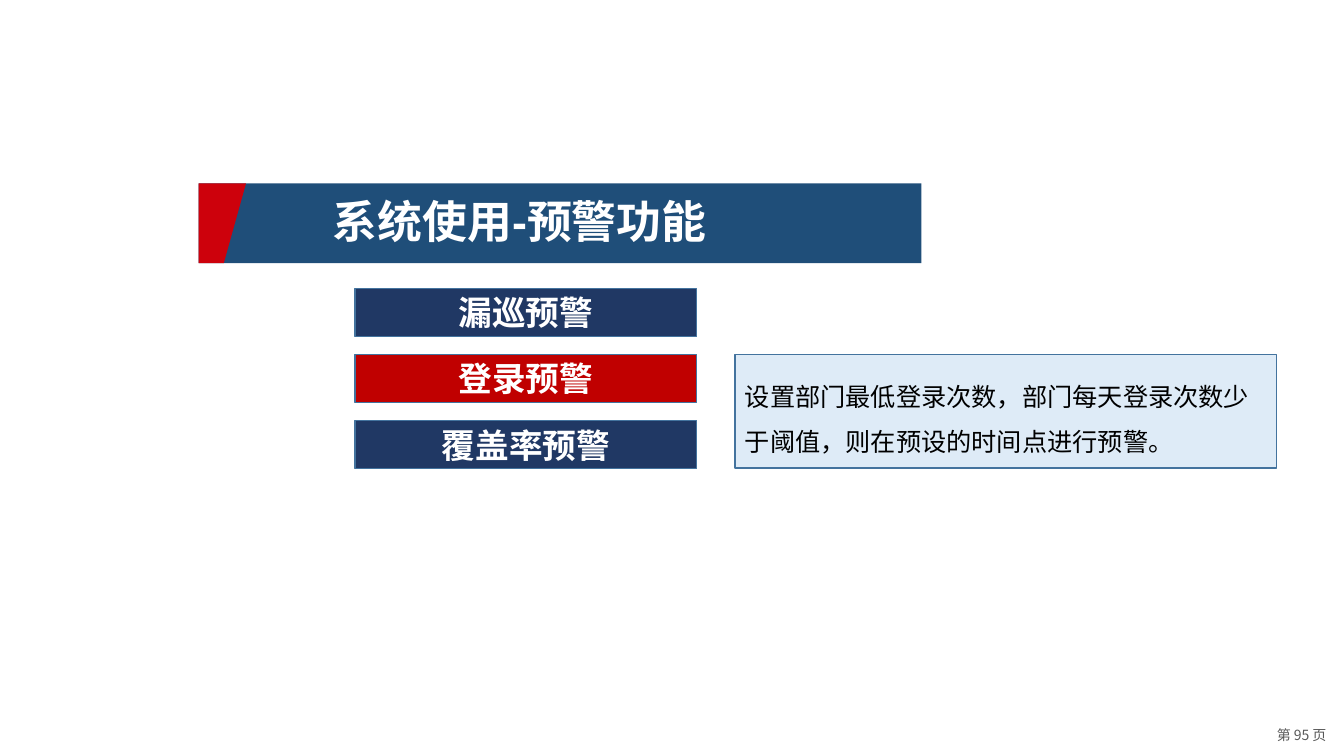
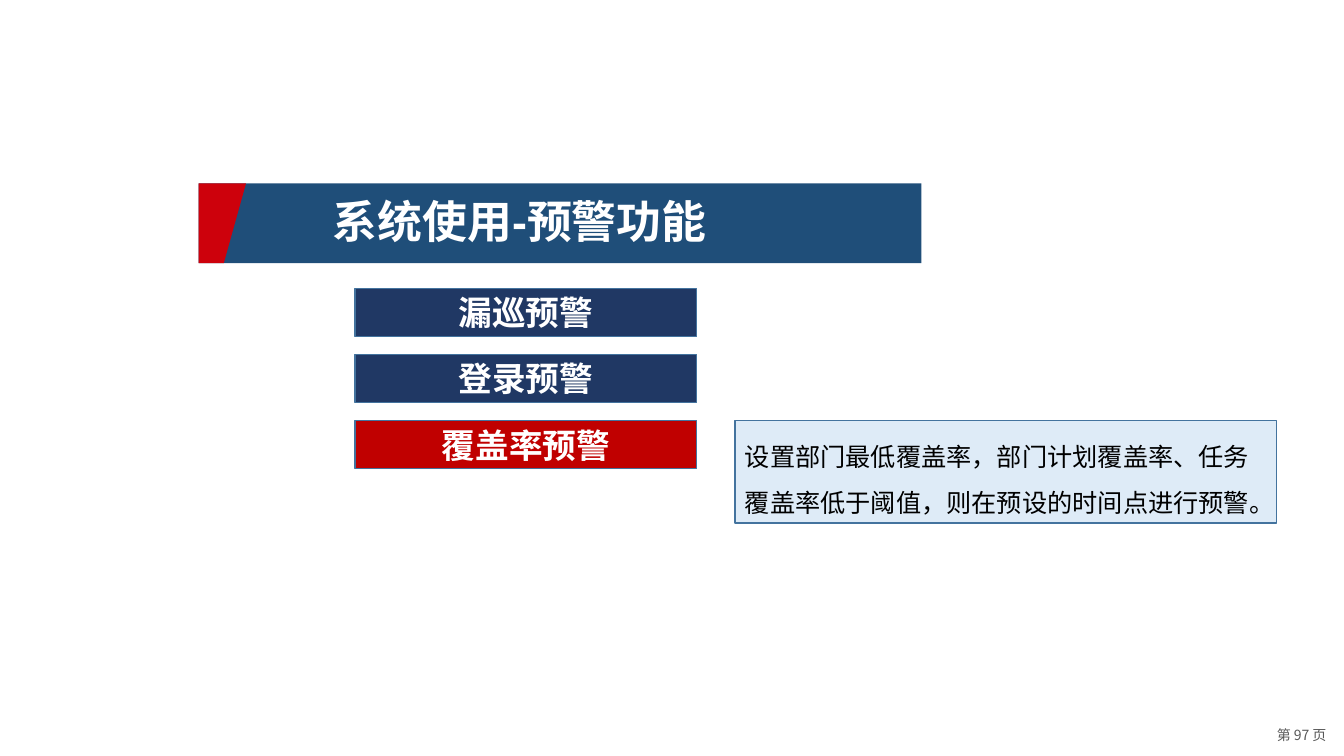
import dataclasses
import typing

import lxml.etree
import pptx
import pptx.dml.color
import pptx.enum.lang
import pptx.enum.shapes
import pptx.enum.text
import pptx.oxml.ns
import pptx.util

Inches = pptx.util.Inches
Anchor = pptx.enum.text.MSO_ANCHOR
Align = pptx.enum.text.PP_ALIGN

BAND_BLUE = "1F4E79"
BAND_RED = "CD010C"
BUTTON_NAVY = "203864"
BUTTON_RED = "C00000"
NOTE_FILL = "DEEBF7"
OUTLINE = "43739E"
WHITE = "FFFFFF"
BLACK = "000000"
GREY = "595959"
CHINESE_FONT = "Noto Sans CJK SC"

TITLE = "系统使用-预警功能"
WARNINGS = ("漏巡预警", "登录预警", "覆盖率预警")
BAND_LEFT, BAND_TOP, BAND_WIDTH, BAND_HEIGHT = 1.97, 1.82, 7.17, 0.79
BUTTON_TOP, BUTTON_PITCH = 2.86, 0.655


@dataclasses.dataclass(frozen=True)
class Box:
    left: float
    top: float
    width: float
    height: float

    def lengths(self) -> list[int]:
        return [Inches(value) for value in dataclasses.astuple(self)]


@dataclasses.dataclass(frozen=True)
class TextStyle:
    size: int
    color: str
    bold: bool = False
    font: str = "Arial"
    align: Align = Align.LEFT
    anchor: Anchor = Anchor.MIDDLE
    line_spacing: float = 1.0


@dataclasses.dataclass(frozen=True)
class WarningPage:
    number: int
    active: int
    note: str
    note_height: float


TITLE_STYLE = TextStyle(32, WHITE, bold=True)
BUTTON_STYLE = TextStyle(24, WHITE, bold=True, align=Align.CENTER)
NOTE_STYLE = TextStyle(18, BLACK, line_spacing=1.5)
FOOTER_STYLE = TextStyle(10, GREY, font=CHINESE_FONT, align=Align.CENTER, anchor=Anchor.TOP)

PAGES = (
    WarningPage(95, 1, "设置部门最低登录次数，部门每天登录次数少于阈值，则在预设的时间点进行预警。", 1.13),
    WarningPage(97, 2, "设置部门最低覆盖率，部门计划覆盖率、任务覆盖率低于阈值，则在预设的时间点进行预警。", 1.02),
)


def rgb(color: str) -> pptx.dml.color.RGBColor:
    return pptx.dml.color.RGBColor.from_string(color)


def set_attributes(target: typing.Any, values: dict[str, typing.Any]) -> None:
    for name, value in values.items():
        setattr(target, name, value)


def write_text(shape: typing.Any, text: str, style: TextStyle) -> None:
    frame = shape.text_frame
    set_attributes(frame, {
        "word_wrap": True,
        "auto_size": pptx.enum.text.MSO_AUTO_SIZE.NONE,
        "vertical_anchor": style.anchor,
    })
    paragraph = frame.paragraphs[0]
    set_attributes(paragraph, {"alignment": style.align, "line_spacing": style.line_spacing})
    run = paragraph.add_run()
    run.text = text
    set_attributes(run.font, {
        "name": style.font,
        "size": pptx.util.Pt(style.size),
        "bold": style.bold,
        "language_id": pptx.enum.lang.MSO_LANGUAGE_ID.SIMPLIFIED_CHINESE,
    })
    run.font.color.rgb = rgb(style.color)
    properties = run.font._element
    lxml.etree.SubElement(properties, pptx.oxml.ns.qn("a:ea"), typeface=CHINESE_FONT)


def paint(shape: typing.Any, fill: str, outline: str | None = None) -> None:
    shape.shadow.inherit = False
    shape.fill.solid()
    shape.fill.fore_color.rgb = rgb(fill)
    if outline is None:
        shape.line.fill.background()
    else:
        shape.line.color.rgb = rgb(outline)
        shape.line.width = pptx.util.Pt(1)


def add_rectangle(slide: typing.Any, box: Box, fill: str, outline: str | None = None) -> typing.Any:
    rectangle = slide.shapes.add_shape(pptx.enum.shapes.MSO_SHAPE.RECTANGLE, *box.lengths())
    paint(rectangle, fill, outline)
    return rectangle


def add_title_band(slide: typing.Any) -> None:
    add_rectangle(slide, Box(BAND_LEFT, BAND_TOP, BAND_WIDTH, BAND_HEIGHT), BAND_BLUE)
    bottom = BAND_TOP + BAND_HEIGHT
    builder = slide.shapes.build_freeform(Inches(BAND_LEFT), Inches(BAND_TOP))
    corners = ((BAND_LEFT + 0.47, BAND_TOP), (BAND_LEFT + 0.25, bottom), (BAND_LEFT, bottom))
    builder.add_line_segments([(Inches(x), Inches(y)) for x, y in corners])
    paint(builder.convert_to_shape(), BAND_RED)

    title = slide.shapes.title
    names = ("left", "top", "width", "height")
    set_attributes(title, dict(zip(names, Box(3.2, 1.87, 5.93, 0.64).lengths())))
    write_text(title, TITLE, TITLE_STYLE)
    title.element.getparent().append(title.element)


def add_footer(slide: typing.Any, number: int) -> None:
    footer = slide.shapes.add_textbox(*Box(12.48, 7.16, 0.86, 0.27).lengths())
    write_text(footer, f"第 {number} 页", FOOTER_STYLE)


def add_warning_slide(presentation: typing.Any, page: WarningPage) -> None:
    slide = presentation.slides.add_slide(presentation.slide_layouts.get_by_name("Title Only"))
    add_footer(slide, page.number)
    add_title_band(slide)
    for index, label in enumerate(WARNINGS):
        box = Box(3.52, BUTTON_TOP + index * BUTTON_PITCH, 3.39, 0.48)
        fill = BUTTON_RED if index == page.active else BUTTON_NAVY
        write_text(add_rectangle(slide, box, fill, OUTLINE), label, BUTTON_STYLE)
    note_box = Box(7.29, BUTTON_TOP + page.active * BUTTON_PITCH, 5.37, page.note_height)
    write_text(add_rectangle(slide, note_box, NOTE_FILL, OUTLINE), page.note, NOTE_STYLE)


def main() -> None:
    presentation = pptx.Presentation()
    set_attributes(presentation, {"slide_width": Inches(13.33), "slide_height": Inches(7.5)})
    for page in PAGES:
        add_warning_slide(presentation, page)
    presentation.save("out.pptx")


if __name__ == "__main__":
    main()
